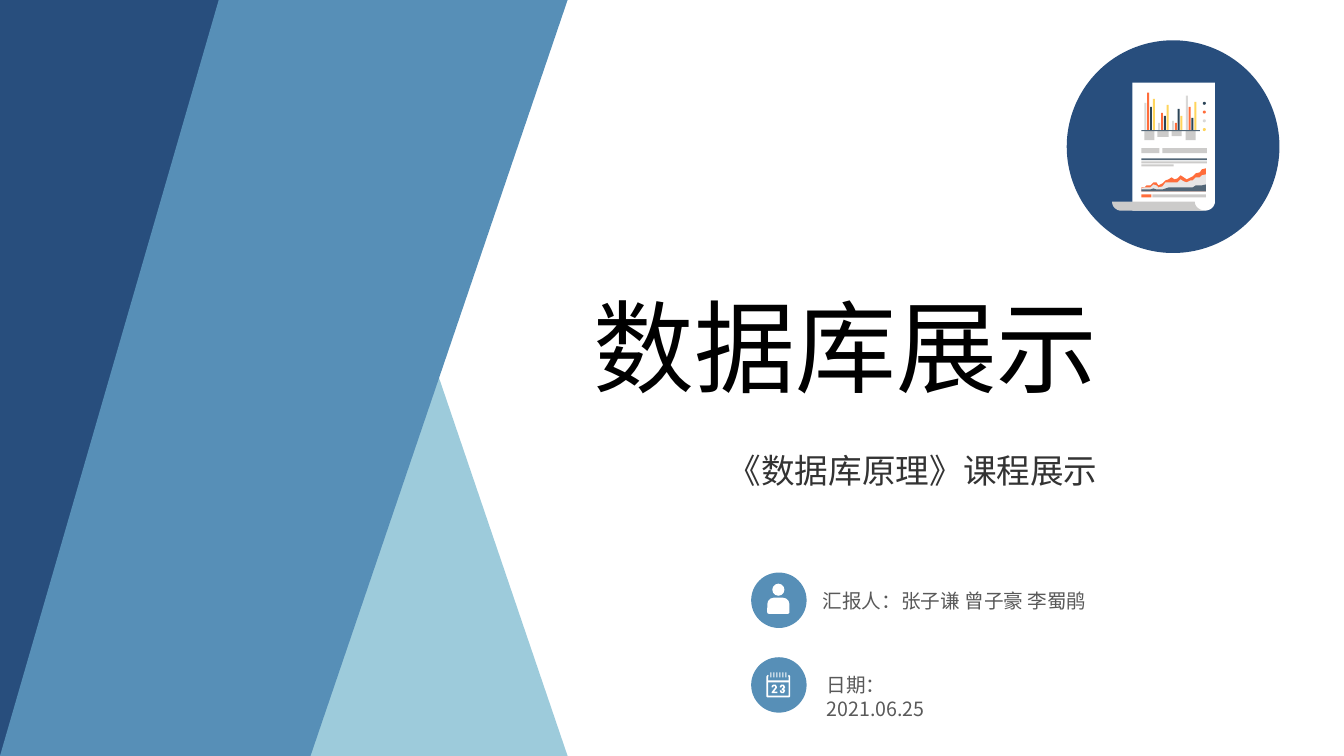
from math import cos, pi, sin

from lxml.etree import SubElement
from pptx import Presentation
from pptx.dml.color import RGBColor
from pptx.enum.shapes import MSO_SHAPE as Preset
from pptx.enum.text import MSO_AUTO_SIZE as AutoSize
from pptx.oxml.ns import qn
from pptx.util import Inches, Pt

FONT = "Noto Sans CJK SC"
NAVY = RGBColor(0x28, 0x4E, 0x7D)
BLUE = RGBColor(0x57, 0x8F, 0xB7)
AQUA = RGBColor(0x9D, 0xCB, 0xDB)
WHITE = RGBColor(0xFF, 0xFF, 0xFF)
BLACK = RGBColor(0x00, 0x00, 0x00)
CHARCOAL = RGBColor(0x33, 0x33, 0x33)
GREY = RGBColor(0x59, 0x59, 0x59)
ORANGE = RGBColor(0xFF, 0x6D, 0x3B)
YELLOW = RGBColor(0xFF, 0xD5, 0x5C)
INK = RGBColor(0x2B, 0x44, 0x57)
SLATE = RGBColor(0x52, 0x66, 0x77)
SILVER = RGBColor(0xCC, 0xCB, 0xCA)
PALE = RGBColor(0xD9, 0xD8, 0xD7)
MIST = RGBColor(0xE6, 0xE5, 0xE5)


def add_part(canvas, form, color, frame=None, stroke=None):
    """Draw a preset in a frame, or an outline through a list of points."""
    if frame:
        part = canvas.add_shape(form, *[Inches(v) for v in frame])
    else:
        points = [(Inches(x), Inches(y)) for x, y in form]
        builder = canvas.build_freeform(*points[0], scale=1.0)
        builder.add_line_segments(points[1:], close=stroke is None)
        part = builder.convert_to_shape()
    part.shadow.inherit = False
    if stroke:
        part.fill.background()
        part.line.color.rgb = color
        part.line.width = Pt(stroke)
    else:
        part.fill.solid()
        part.fill.fore_color.rgb = color
        part.line.fill.background()
    return part


def add_text(canvas, text, frame, size, color, wrap=False):
    box = canvas.add_textbox(*[Inches(v) for v in frame])
    box.text_frame.word_wrap = wrap
    box.text_frame.auto_size = AutoSize.NONE if wrap else AutoSize.SHAPE_TO_FIT_TEXT
    span = box.text_frame.paragraphs[0].add_run()
    span.text = text
    span.font.size = Pt(size)
    span.font.name = FONT
    span.font.color.rgb = color
    SubElement(span.font._element, qn("a:ea")).set("typeface", FONT)


deck = Presentation()
deck.slide_width, deck.slide_height = Inches(13.33), Inches(7.5)
page = deck.slides.add_slide(deck.slide_layouts[6])
shapes = page.shapes

# Badge and slanted bands
add_part(shapes, Preset.OVAL, NAVY, (10.58, 0.4, 2.11, 2.11))
add_part(shapes, [(2.17, 7.5), (5.63, 7.5), (3.08, 0), (2.17, 0)], AQUA)
add_part(shapes, Preset.RECTANGLE, NAVY, (0, 0, 2.41, 7.5))
add_part(shapes, [(2.17, 0), (5.63, 0), (3.08, 7.5), (0, 7.5)], BLUE)

add_text(shapes, "数据库展示", (5.79, 2.78, 5.2, 1.31), 72, BLACK)

# Report scroll: paper with a rounded lower right corner
report = shapes.add_group_shape().shapes
angles = [step * pi / 16 for step in range(9)]
corner = [(11.95 + 0.1 * cos(a), 2 + 0.09 * sin(a)) for a in angles]
add_part(report, [(11.23, 0.82), (12.05, 0.82)] + corner + [(11.23, 2.09)], WHITE)

# Report area chart
area_x = [11.32, 11.35, 11.37, 11.41, 11.44, 11.47, 11.49, 11.53, 11.56, 11.59, 11.62,
          11.65, 11.68, 11.71, 11.74, 11.77, 11.81, 11.83, 11.86, 11.9, 11.92, 11.96]
areas = [
    (ORANGE, [1.86, 1.86, 1.84, 1.84, 1.81, 1.81, 1.84, 1.82, 1.79, 1.78, 1.76,
              1.78, 1.77, 1.74, 1.76, 1.78, 1.76, 1.75, 1.72, 1.71, 1.68, 1.67]),
    (MIST, [1.87, 1.86, 1.86, 1.86, 1.83, 1.84, 1.86, 1.85, 1.81, 1.81, 1.81,
            1.81, 1.81, 1.78, 1.8, 1.81, 1.79, 1.79, 1.76, 1.76, 1.74, 1.73]),
    (SLATE, [1.88] * 4 + [1.87] + [1.88] * 3 + [1.87] + [1.86] * 9
     + [1.84] * 3 + [1.83]),
]
for color, tops in areas:
    add_part(report, list(zip(area_x, tops)) + [(11.96, 1.9), (11.32, 1.9)], color)

# Report bar chart: labels, bars, legend and axes
for left, width, height in [(11.35, 0.1, 0.09), (11.48, 0.11, 0.06),
                            (11.62, 0.1, 0.05), (11.76, 0.1, 0.09)]:
    add_part(report, Preset.RECTANGLE, SILVER, (left, 1.3, width, height))

series = [PALE, ORANGE, INK, YELLOW]
bar_heights = [(0.27, 0.37, 0.23, 0.31), (0.07, 0.17, 0.14, 0.25),
               (0.09, 0.07, 0.21, 0.14), (0.34, 0.23, 0.12, 0.28)]
for cluster, heights in enumerate(bar_heights):
    for index, (color, height) in enumerate(zip(series, heights)):
        left = 11.35 + 0.137 * cluster + 0.028 * index
        add_part(report, Preset.RECTANGLE, color, (left, 1.29 - height, 0.02, height))

for index, color in enumerate([INK, ORANGE, PALE, YELLOW]):
    add_part(report, Preset.OVAL, color, (11.93, 1.01 + 0.087 * index, 0.03, 0.03))
add_part(report, Preset.RECTANGLE, SLATE, (11.32, 1.29, 0.58, 0.01))

# Report text bars
for left, top, width, height, color in [
    (11.32, 1.47, 0.18, 0.05, SILVER), (11.53, 1.47, 0.44, 0.05, SILVER),
    (11.32, 1.57, 0.65, 0.02, SLATE), (11.32, 1.6, 0.65, 0.02, SILVER),
    (11.32, 1.63, 0.32, 0.02, SILVER), (11.32, 1.93, 0.1, 0.03, ORANGE),
    (11.43, 1.93, 0.53, 0.03, SILVER),
]:
    add_part(report, Preset.RECTANGLE, color, (left, top, width, height))

# Rolled lower edge
roll_left = [(11.12 - 0.09 * cos(a), 2 + 0.09 * sin(a)) for a in angles]
roll_right = [(11.96 - 0.11 * cos(a), 2 + 0.09 * sin(a)) for a in reversed(angles)]
add_part(report, roll_left + roll_right, SILVER)

add_text(shapes, "《数据库原理》课程展示", (7.12, 4.41, 3.87, 0.5), 24, CHARCOAL)

# Presenters
presenters = shapes.add_group_shape().shapes
add_part(presenters, Preset.OVAL, BLUE, (7.45, 5.68, 0.55, 0.55))
add_part(presenters, Preset.OVAL, WHITE, (7.66, 5.79, 0.12, 0.12))
body = add_part(presenters, Preset.ROUND_2_SAME_RECTANGLE, WHITE, (7.61, 5.93, 0.22, 0.16))
body.adjustments[0], body.adjustments[1] = 0.4, 0.1
add_text(presenters, "汇报人：张子谦 曾子豪 李蜀鹃", (8.06, 5.79, 2.83, 0.34), 14, GREY)

# Date with calendar icon
date = shapes.add_group_shape().shapes
add_part(date, Preset.OVAL, BLUE, (7.45, 6.52, 0.55, 0.55))
add_text(date, "日期： 2021.06.25", (8.1, 6.63, 1.74, 0.34), 14, GREY, wrap=True)
add_part(date, Preset.RECTANGLE, WHITE, (7.61, 6.75, 0.22, 0.02))
for ring in range(6):
    add_part(date, Preset.ROUNDED_RECTANGLE, WHITE, (7.64 + 0.03 * ring, 6.67, 0.01, 0.05))
calendar_strokes = [
    [(7.62, 6.7), (7.61, 6.71), (7.61, 6.91), (7.83, 6.91), (7.83, 6.71), (7.82, 6.7)],
    [(7.66, 6.82), (7.66, 6.81), (7.67, 6.8), (7.69, 6.8), (7.7, 6.82), (7.66, 6.87),
     (7.71, 6.87)],
    [(7.74, 6.82), (7.75, 6.8), (7.77, 6.8), (7.78, 6.82), (7.76, 6.84), (7.78, 6.85),
     (7.77, 6.87), (7.75, 6.87), (7.74, 6.85)],
]
for points in calendar_strokes:
    add_part(date, points, WHITE, stroke=1.1)

deck.save("out.pptx")
